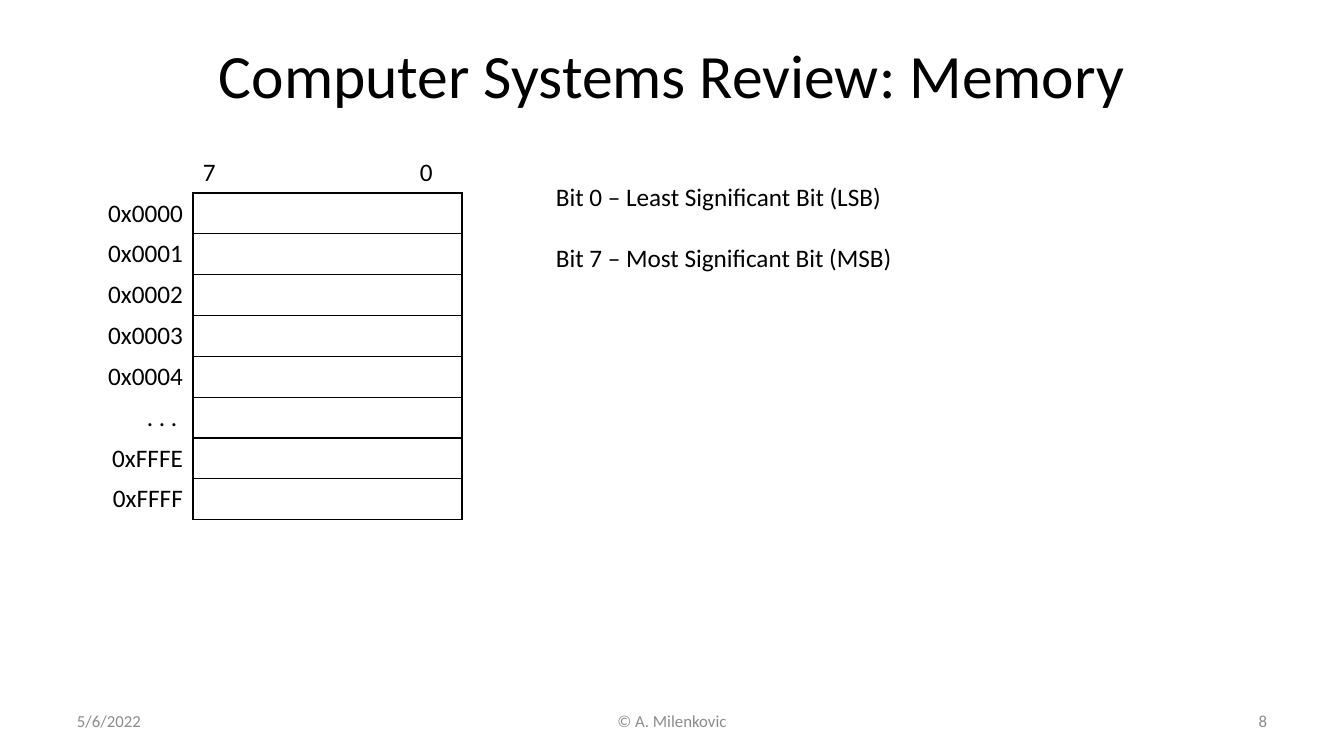
from lxml import etree
from pptx import Presentation
from pptx.dml.color import RGBColor
from pptx.enum.text import MSO_ANCHOR as Anchor, PP_ALIGN as Align
from pptx.oxml.ns import qn
from pptx.util import Pt

PX = 914400 / 100.8
FONT = "Calibri"
BLACK = RGBColor(0x00, 0x00, 0x00)
GRAY = RGBColor(0x8C, 0x8C, 0x8C)
ADDRESSES = ["0x0000", "0x0001", "0x0002", "0x0003", "0x0004", ". . . ", "0xFFFE", "0xFFFF"]


def px(length):
    """Turn pixels into EMU."""
    return round(length * PX)


def style_para(para, size, color, align):
    """Set the font and alignment of a paragraph."""
    para.alignment = align
    para.font.name = FONT
    para.font.size = Pt(size)
    para.font.color.rgb = color


def add_text(page, box, lines, size=18, color=BLACK, align=Align.LEFT, anchor=Anchor.TOP, gap=0):
    """Add a text box with one paragraph per line and return its paragraphs."""
    frame = page.shapes.add_textbox(*map(px, box)).text_frame
    frame.word_wrap = True
    frame.vertical_anchor = anchor
    frame.text = "\n".join(lines)
    for index, para in enumerate(frame.paragraphs):
        style_para(para, size, color, align)
        if index:
            para.space_before = Pt(gap)
    return frame.paragraphs


def set_borders(cell, color):
    """Give a cell one-point borders, or none when color is None."""
    properties = cell._tc.get_or_add_tcPr()
    for position, side in enumerate(("a:lnL", "a:lnR", "a:lnT", "a:lnB")):
        line = etree.Element(qn(side), w=str(Pt(1)))
        if color is None:
            etree.SubElement(line, qn("a:noFill"))
        else:
            fill = etree.SubElement(line, qn("a:solidFill"))
            etree.SubElement(fill, qn("a:srgbClr"), val=str(color))
        properties.insert(position, line)


def add_column(page, box, texts, border=None):
    """Add a one-column table of equal rows without fill."""
    table = page.shapes.add_table(len(texts), 1, *map(px, box)).table
    table.first_row = False
    table.horz_banding = False
    for row, text in enumerate(texts):
        cell = table.cell(row, 0)
        cell.text = text
        cell.fill.background()
        style_para(cell.text_frame.paragraphs[0], 18, BLACK, Align.RIGHT)
        set_borders(cell, border)


def add_bit_numbers(page, box, tab):
    """Add the bit numbers 7 and 0, set apart by a tab stop."""
    para = add_text(page, box, ["7\t0"])[0]
    stops = etree.Element(qn("a:tabLst"))
    etree.SubElement(stops, qn("a:tab"), pos=str(px(tab)), algn="l")
    para._p.get_or_add_pPr().insert_element_before(stops, "a:defRPr", "a:extLst")


def add_memory(page, box):
    """Add the memory cells with their addresses and bit numbers."""
    left, top, width, height = box
    label_width = 143
    cells_left = left + label_width
    cells_width = width - label_width
    add_column(page, (cells_left, top, cells_width, height), [""] * len(ADDRESSES), BLACK)
    add_column(page, (left, top, label_width, height), ADDRESSES)
    add_bit_numbers(page, (cells_left, top - 42, cells_width, 40), 217)


def add_footer(page, box):
    """Add the date, the author and the page number."""
    left, top, width, height = box
    side, middle = 314, 426
    parts = [
        ("5/6/2022", left, side, Align.LEFT),
        ("© A. Milenkovic", left + (width - middle) // 2, middle, Align.CENTER),
        ("8", left + width - side, side, Align.RIGHT),
    ]
    for text, x, part_width, align in parts:
        add_text(page, (x, top, part_width, height), [text], 12, GRAY, align, Anchor.MIDDLE)


def main():
    """Build the memory slide and save it."""
    deck = Presentation()
    deck.slide_width, deck.slide_height = px(1344), px(756)
    page = deck.slides.add_slide(deck.slide_layouts[6])
    add_text(page, (67, 30, 1210, 88), ["Computer Systems Review: Memory"], 44,
             align=Align.CENTER, anchor=Anchor.MIDDLE)
    add_memory(page, (50, 193, 412, 327))
    add_text(page, (546, 176, 454, 102),
             ["Bit 0 – Least Significant Bit (LSB)", "Bit 7 – Most Significant Bit (MSB)"], gap=22)
    add_footer(page, (67, 701, 1210, 40))
    deck.save("out.pptx")


if __name__ == "__main__":
    main()
